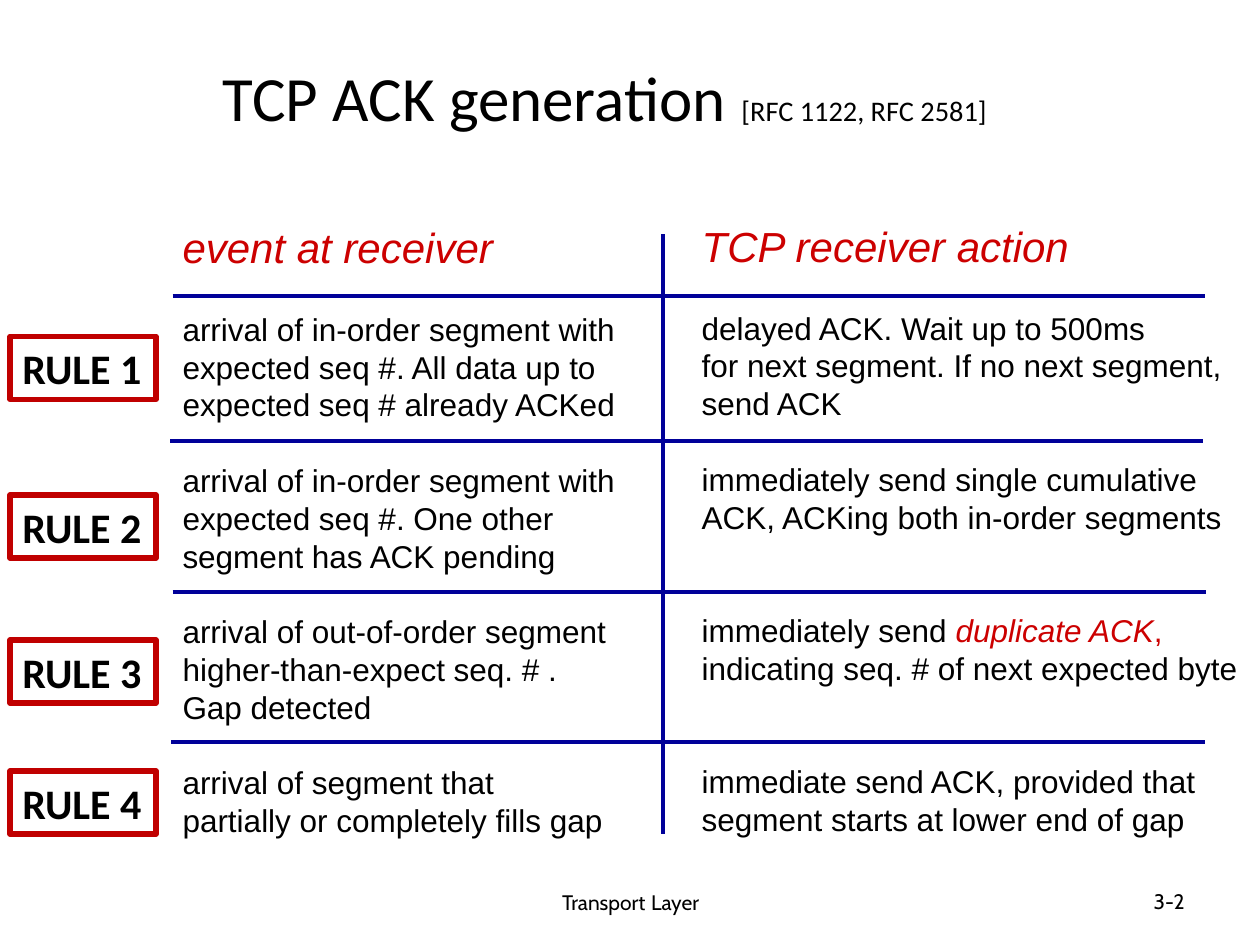
from lxml.etree import SubElement
from pptx import Presentation
from pptx.dml.color import RGBColor
from pptx.enum.shapes import MSO_CONNECTOR, MSO_SHAPE
from pptx.enum.text import MSO_ANCHOR, PP_ALIGN
from pptx.oxml.ns import qn
from pptx.util import Emu, Pt

PX = 9144  # EMU in one px, 100 px to the inch
BLACK = RGBColor(0x00, 0x00, 0x00)
RED = RGBColor(0xCC, 0x00, 0x00)
DARK_RED = RGBColor(0xC0, 0x00, 0x00)
NAVY = RGBColor(0x00, 0x00, 0x99)
LINE_HEIGHT = 21.6

EVENTS = [
    ["arrival of in-order segment with", "expected seq #. All data up to",
     "expected seq # already ACKed"],
    ["arrival of in-order segment with", "expected seq #. One other",
     "segment has ACK pending"],
    ["arrival of out-of-order segment", "higher-than-expect seq. # .", "Gap detected"],
    ["arrival of segment that", "partially or completely fills gap"],
]
ACTIONS = [
    ["delayed ACK. Wait up to 500ms", "for next segment. If no next segment,", "send ACK"],
    ["immediately send single cumulative", "ACK, ACKing both in-order segments"],
    [[("immediately send ", BLACK, False), ("duplicate ACK", RED, True), (",", RED, False)],
     "indicating seq. # of next expected byte"],
    ["immediate send ACK, provided that", "segment starts at lower end of gap"],
]
ROW_LINES = 4  # three lines of text and one of gap
RULE_TOPS = [267, 393, 508, 612]
ROW_RULES = [(137, 956, 235), (135, 955, 350), (137, 957, 470), (136, 956, 589)]


def px(*lengths):
    return [Emu(length * PX) for length in lengths]


def add_span(para, text, size, font, color=BLACK, italic=False, bold=False):
    span = para.add_run()
    span.text = text
    span.font.size = Pt(size)
    span.font.name = font
    span.font.color.rgb = color
    span.font.italic = italic
    span.font.bold = bold


def add_text_box(page, box, anchor=MSO_ANCHOR.TOP, wrap=True):
    frame = page.shapes.add_textbox(*px(*box)).text_frame
    frame.word_wrap = wrap
    frame.vertical_anchor = anchor
    return frame


def add_centred_line(page, box, spans, font, align=PP_ALIGN.CENTER):
    """Place one line, made of (text, size) spans, in the vertical middle of the box."""
    para = add_text_box(page, box, MSO_ANCHOR.MIDDLE).paragraphs[0]
    para.alignment = align
    for text, size in spans:
        add_span(para, text, size, font)


def add_column(page, box, heading, rows):
    """Place a heading and rows of lines, each row starting a fixed number of lines on."""
    frame = add_text_box(page, box, wrap=False)
    head = frame.paragraphs[0]
    head.line_spacing = Pt(29.5)
    add_span(head, heading, 24, "Arial", RED, italic=True)
    blank_lines = 1
    for row in rows:
        for index, line in enumerate(row):
            para = frame.add_paragraph()
            para.line_spacing = Pt(LINE_HEIGHT)
            if index == 0:
                para.space_before = Pt(blank_lines * LINE_HEIGHT)
            spans = [(line, BLACK, False)] if isinstance(line, str) else line
            for text, color, italic in spans:
                add_span(para, text, 18, "Arial", color, italic)
        blank_lines = ROW_LINES - len(row)


def add_grid_line(page, x1, y1, x2, y2):
    line = page.shapes.add_connector(MSO_CONNECTOR.STRAIGHT, *px(x1, y1, x2, y2))
    line.line.color.rgb = NAVY
    line.line.width = Pt(2.25)
    SubElement(line._element.spPr, qn("a:effectLst"))


def add_grid(page):
    add_grid_line(page, 526, 186, 526, 662)
    for left, right, y in ROW_RULES:
        add_grid_line(page, left, y, right, y)


def add_rule_label(page, box, text):
    label = page.shapes.add_shape(MSO_SHAPE.RECTANGLE, *px(*box))
    label.shadow.inherit = False
    label.fill.background()
    label.line.color.rgb = DARK_RED
    label.line.width = Pt(3)
    frame = label.text_frame
    frame.word_wrap = False
    frame.vertical_anchor = MSO_ANCHOR.TOP
    para = frame.paragraphs[0]
    para.alignment = PP_ALIGN.LEFT
    add_span(para, text, 24, "Calibri", bold=True)


def main():
    deck = Presentation()
    deck.slide_width, deck.slide_height = px(1000, 750)
    page = deck.slides.add_slide(deck.slide_layouts[6])

    title = [("TCP ACK generation", 36), (" ", 39.6), ("[RFC 1122, RFC 2581]", 16.2)]
    add_centred_line(page, (55, 38, 850, 73), title, "Calibri")
    footer = [("Transport", 12), (" ", 14), ("Layer", 12)]
    add_centred_line(page, (342, 695, 317, 40), footer, "Cabin")
    add_centred_line(page, (717, 695, 233, 40), [("3-2", 12)], "Cabin", PP_ALIGN.RIGHT)

    add_column(page, (135, 170, 365, 547), "event at receiver", EVENTS)
    add_column(page, (547, 169, 445, 547), "TCP receiver action", ACTIONS)
    add_grid(page)
    for number, top in enumerate(RULE_TOPS, start=1):
        add_rule_label(page, (8, top, 116, 50), f"RULE {number}")

    deck.save("out.pptx")


if __name__ == "__main__":
    main()
